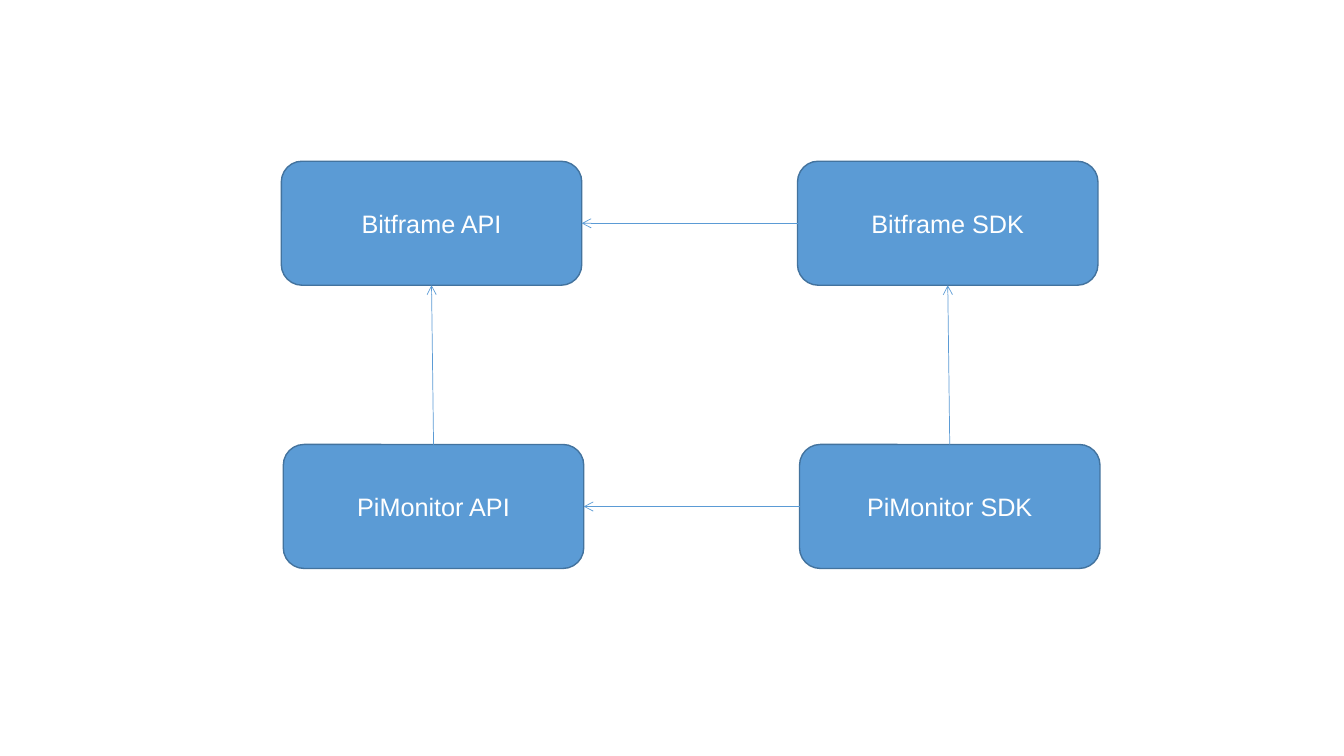
"""Draw four linked API and SDK boxes on one slide."""
from dataclasses import dataclass

from lxml import etree
from pptx import Presentation
from pptx.dml.color import RGBColor
from pptx.enum import shapes, text
from pptx.oxml import ns
from pptx import util as u

PX = 9144
WIDE, HIGH = 298, 123
BLUE = RGBColor(0x5B, 0x9B, 0xD5)
EDGE = RGBColor(0x43, 0x73, 0x9E)
WHITE = RGBColor(0xFF, 0xFF, 0xFF)
TOP, LEFT, BOTTOM, RIGHT = range(4)


@dataclass(frozen=True)
class Box:
    label: str
    x: int
    y: int


@dataclass(frozen=True)
class Link:
    start: str
    out: int
    end: str
    into: int


BOXES = [
    Box("PiMonitor API", 281, 441),
    Box("PiMonitor SDK", 793, 441),
    Box("Bitframe API", 279, 160),
    Box("Bitframe SDK", 791, 160),
]
LINKS = [
    Link("PiMonitor SDK", LEFT, "PiMonitor API", RIGHT),
    Link("Bitframe SDK", LEFT, "Bitframe API", RIGHT),
    Link("PiMonitor SDK", TOP, "Bitframe SDK", BOTTOM),
    Link("PiMonitor API", TOP, "Bitframe API", BOTTOM),
]


def draw_box(slide, box: Box):
    shape = slide.shapes.add_shape(
        shapes.MSO_SHAPE.ROUNDED_RECTANGLE,
        box.x * PX, box.y * PX, WIDE * PX, HIGH * PX)
    shape.shadow.inherit = False
    shape.fill.solid()
    shape.fill.fore_color.rgb = BLUE
    shape.line.color.rgb = EDGE
    shape.line.width = u.Pt(1)
    frame = shape.text_frame
    frame.word_wrap = True
    frame.vertical_anchor = text.MSO_ANCHOR.MIDDLE
    para = frame.paragraphs[0]
    para.text = box.label
    para.alignment = text.PP_ALIGN.CENTER
    para.font.name = "Arial"
    para.font.size = u.Pt(18)
    para.font.color.rgb = WHITE
    return shape


def draw_link(slide, link: Link, nodes: dict) -> None:
    line = slide.shapes.add_connector(shapes.MSO_CONNECTOR.STRAIGHT, 0, 0, 0, 0)
    line.begin_connect(nodes[link.start], link.out)
    line.end_connect(nodes[link.end], link.into)
    line.line.color.rgb = BLUE
    line.line.width = u.Pt(0.5)
    props = line.element.spPr
    etree.SubElement(props.find(ns.qn("a:ln")), ns.qn("a:tailEnd"), type="arrow")
    etree.SubElement(props, ns.qn("a:effectLst"))


def main() -> None:
    deck = Presentation()
    deck.slide_width, deck.slide_height = 1333 * PX, 750 * PX
    slide = deck.slides.add_slide(deck.slide_layouts[6])
    nodes = {box.label: draw_box(slide, box) for box in BOXES}
    for link in LINKS:
        draw_link(slide, link, nodes)
    deck.save("out.pptx")


if __name__ == "__main__":
    main()
